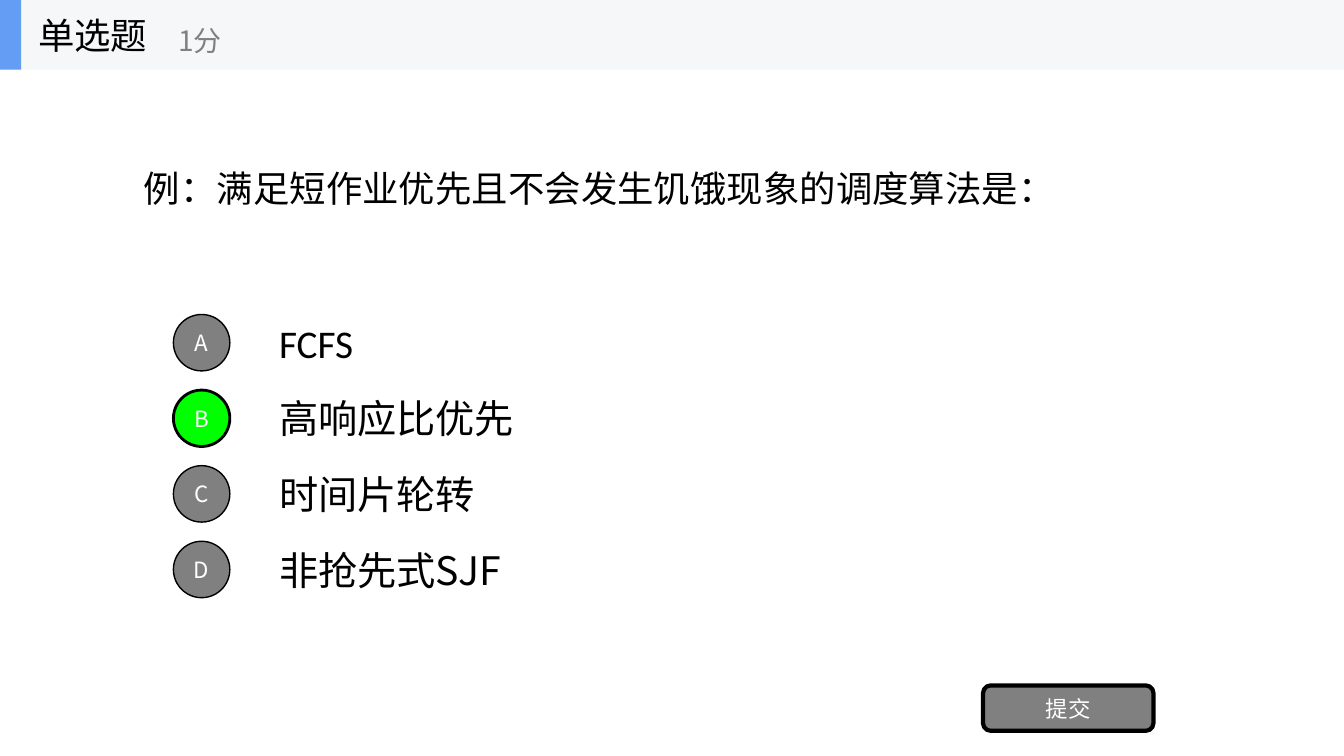
"""Build a single-choice quiz slide with four options and a submit button."""
from lxml import etree
from pptx import Presentation
from pptx.dml.color import RGBColor
from pptx.enum import shapes, text
from pptx.oxml.ns import qn
from pptx.util import Inches, Pt

BLACK = RGBColor(0x00, 0x00, 0x00)
WHITE = RGBColor(0xFF, 0xFF, 0xFF)
GRAY = RGBColor(0x80, 0x80, 0x80)
GREEN = RGBColor(0x00, 0xFF, 0x00)
BAR = RGBColor(0xF6, 0xF7, 0xF8)
BLUE = RGBColor(0x63, 0x9E, 0xF4)
CJK = "Noto Sans CJK SC"


def write(box, words, size, color=BLACK, font=CJK, align=text.PP_ALIGN.LEFT, wrap=True):
    frame = box.text_frame
    frame.word_wrap = wrap
    frame.vertical_anchor = text.MSO_ANCHOR.MIDDLE
    para = frame.paragraphs[0]
    para.alignment = align
    span = para.add_run()
    span.text = words
    span.font.size = Pt(size)
    span.font.color.rgb = color
    span.font.name = font
    etree.SubElement(span.font._element, qn("a:ea"), typeface=font)


def add_block(parent, kind, left, top, width, height, fill, line=0):
    block = parent.add_shape(kind, Inches(left), Inches(top), Inches(width), Inches(height))
    block.shadow.inherit = False
    block.fill.solid()
    block.fill.fore_color.rgb = fill
    if line:
        block.line.color.rgb = BLACK
        block.line.width = Pt(line)
    else:
        block.line.fill.background()
    return block


deck = Presentation()
deck.slide_width, deck.slide_height = Inches(13.33), Inches(7.5)
page = deck.slides.add_slide(deck.slide_layouts[6])

question = page.shapes.add_textbox(Inches(1.33), Inches(0.69), Inches(10.67), Inches(2.34))
write(question, "例：满足短作业优先且不会发生饥饿现象的调度算法是：", 26)

options = [
    ("A", "FCFS", "Calibri", GRAY, 1),
    ("B", "高响应比优先", CJK, GREEN, 2),
    ("C", "时间片轮转", CJK, GRAY, 1),
    ("D", "非抢先式SJF", CJK, GRAY, 1),
]
for row, (letter, answer, font, fill, line) in enumerate(options):
    top = 3.05 + 0.75 * row
    answer_box = page.shapes.add_textbox(Inches(2.67), Inches(top), Inches(9.33), Inches(0.7))
    write(answer_box, answer, 28, font=font)
    badge = add_block(page.shapes, shapes.MSO_SHAPE.OVAL, 1.72, top + 0.07, 0.56, 0.56, fill, line)
    write(badge, letter, 16, color=WHITE, align=text.PP_ALIGN.CENTER)

button = add_block(page.shapes, shapes.MSO_SHAPE.ROUNDED_RECTANGLE, 9.75, 6.8, 1.69, 0.45, GRAY, 3)
write(button, "提交", 16, color=WHITE, align=text.PP_ALIGN.CENTER)

header = page.shapes.add_group_shape().shapes
add_block(header, shapes.MSO_SHAPE.RECTANGLE, 0, 0, 13.33, 0.69, BAR)
add_block(header, shapes.MSO_SHAPE.RECTANGLE, 0, 0, 0.21, 0.69, BLUE)
title = header.add_textbox(Inches(0.28), Inches(0), Inches(2.08), Inches(0.69))
write(title, "单选题", 26, wrap=False)
score = header.add_textbox(Inches(1.67), Inches(0.12), Inches(2.5), Inches(0.56))
write(score, "1分", 20, color=GRAY, wrap=False)

deck.save("out.pptx")
